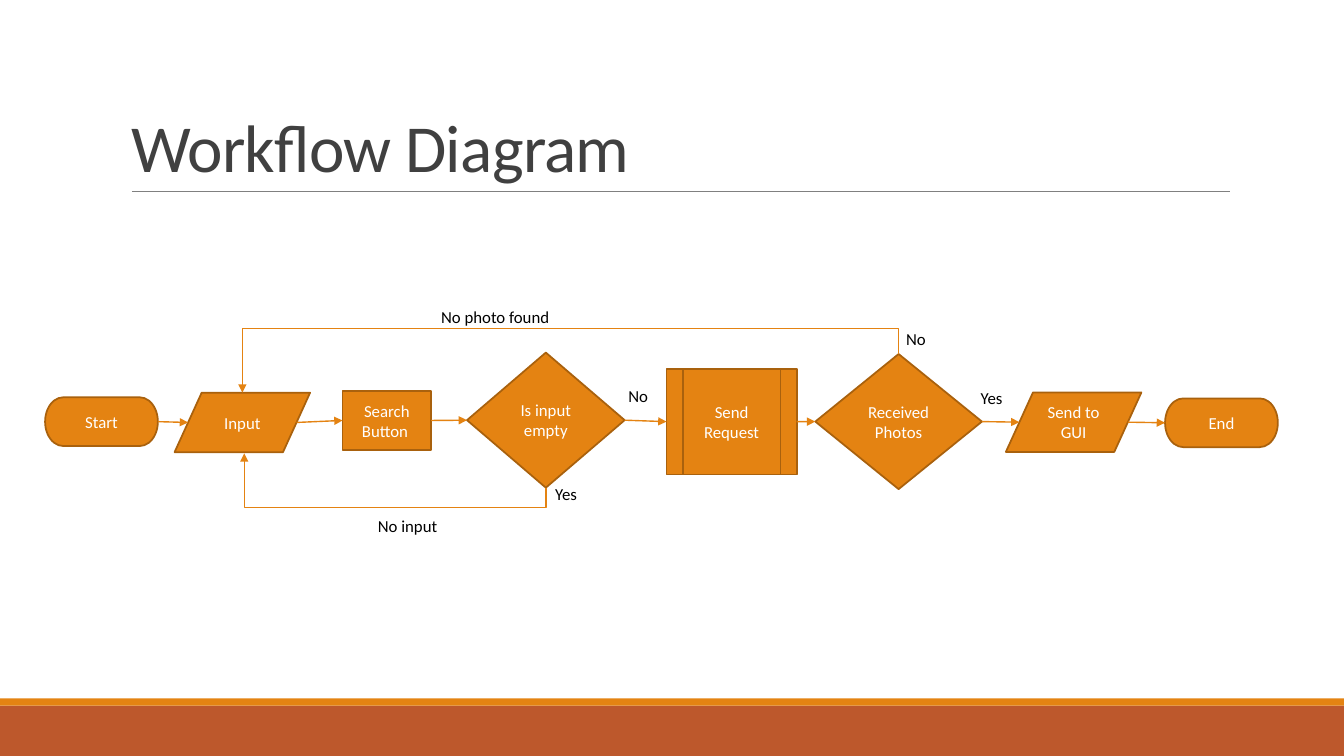
from pptx import Presentation
from pptx.dml.color import RGBColor
from pptx.enum.shapes import MSO_CONNECTOR as CONN, MSO_SHAPE as SHAPE
from pptx.enum.text import MSO_ANCHOR as ANCHOR, MSO_AUTO_SIZE as FIT, PP_ALIGN as ALIGN
from pptx.oxml.ns import qn
from pptx.util import Pt
from lxml import etree

ORANGE, EDGE, RUST = "E48312", "A9610D", "BD582C"
LEFT, RIGHT = 1, 3


def color(hex_code):
    return RGBColor.from_string(hex_code)


def write(tf, text, size=12, fill="000000", align=ALIGN.LEFT, anchor=ANCHOR.TOP,
          line_spacing=None, tracking=None):
    tf.word_wrap = True
    tf.auto_size = FIT.NONE
    tf.vertical_anchor = anchor
    tf.text = text
    for p in tf.paragraphs:
        p.alignment = align
        p.line_spacing = line_spacing
        for r in p.runs:
            r.font.name = "Calibri"
            r.font.size = Pt(size)
            r.font.color.rgb = color(fill)
            if tracking is not None:
                r.font._element.set("spc", str(tracking))


def add_block(s, kind, x, y, w, h, fill, edge=None, text=None):
    sp = s.shapes.add_shape(kind, Pt(x), Pt(y), Pt(w), Pt(h))
    sp.shadow.inherit = False
    sp.fill.solid()
    sp.fill.fore_color.rgb = color(fill)
    if edge:
        sp.line.color.rgb = color(edge)
        sp.line.width = Pt(1.25)
    else:
        sp.line.fill.background()
    if text:
        write(sp.text_frame, text, fill="FFFFFF", align=ALIGN.CENTER, anchor=ANCHOR.MIDDLE)
    return sp


def add_label(s, text, x, y, w):
    box = s.shapes.add_textbox(Pt(x), Pt(y), Pt(w), Pt(21.8))
    write(box.text_frame, text)


def add_line(s, x1, y1, x2, y2, stroke=ORANGE, width=1, arrow=True, kind=CONN.STRAIGHT):
    line = s.shapes.add_connector(kind, Pt(x1), Pt(y1), Pt(x2), Pt(y2))
    line.line.color.rgb = color(stroke)
    line.line.width = Pt(width)
    if arrow:
        etree.SubElement(line.line._get_or_add_ln(), qn("a:tailEnd"), type="triangle")
    etree.SubElement(line._element.spPr, qn("a:effectLst"))
    return line


def side_point(sp, side):
    """Middle of the left or right side, in points; slanted sides lie a tenth inward."""
    inset = sp.width.pt / 10 if sp.auto_shape_type == SHAPE.FLOWCHART_DATA else 0
    x = sp.left.pt + inset if side == LEFT else sp.left.pt + sp.width.pt - inset
    return x, sp.top.pt + sp.height.pt / 2


def join(s, a, b):
    line = add_line(s, *side_point(a, RIGHT), *side_point(b, LEFT))
    if a.auto_shape_type != SHAPE.FLOWCHART_DATA:
        line.begin_connect(a, RIGHT)
    if b.auto_shape_type != SHAPE.FLOWCHART_DATA:
        line.end_connect(b, LEFT)


def add_return(s, x1, y1, x2, y2, via_y):
    """Elbow arrow that runs back to the left along via_y: an elbow turned by 90 degrees."""
    cx, cy = (x1 + x2) / 2, (y1 + y2) / 2
    dx, dy = (y2 - y1) / 2, (x1 - x2) / 2
    line = add_line(s, cx - dx, cy - dy, cx + dx, cy + dy, kind=CONN.ELBOW)
    sp_pr = line._element.spPr
    sp_pr.find(qn("a:xfrm")).set("rot", str(90 * 60000))
    adjust = round((via_y - y1) / (y2 - y1) * 100000)
    guides = sp_pr.find(qn("a:prstGeom")).find(qn("a:avLst"))
    etree.SubElement(guides, qn("a:gd"), name="adj1", fmla=f"val {adjust}")


def main():
    prs = Presentation()
    prs.slide_width, prs.slide_height = Pt(960), Pt(540)
    s = prs.slides.add_slide(prs.slide_layouts[5])

    # Footer bands and title rule
    add_block(s, SHAPE.RECTANGLE, 0, 504, 960, 36, RUST)
    add_block(s, SHAPE.RECTANGLE, 0, 498.8, 960, 5.2, ORANGE)
    add_line(s, 94.3, 136.8, 878.8, 136.8, stroke="808080", width=0.5, arrow=False)

    # Title
    title = s.shapes.title
    title.left, title.top, title.width, title.height = Pt(86.4), Pt(22.6), Pt(792), Pt(114.2)
    write(title.text_frame, "Workflow Diagram", size=48, fill="404040",
          anchor=ANCHOR.BOTTOM, line_spacing=0.85, tracking=-50)

    # Steps, left to right
    steps = [
        (SHAPE.FLOWCHART_TERMINATOR, 32.2, 283.8, 80.6, 34.8, "Start"),
        (SHAPE.FLOWCHART_DATA, 124.7, 280.5, 96.8, 42.5, "Input"),
        (SHAPE.FLOWCHART_PROCESS, 244.7, 279.2, 63.3, 42.3, "Search\nButton "),
        (SHAPE.FLOWCHART_DECISION, 333.6, 251.9, 112.6, 96.5, "Is input empty"),
        (SHAPE.FLOWCHART_PREDEFINED_PROCESS, 476.1, 263.5, 93, 75.4, "Send Request"),
        (SHAPE.FLOWCHART_DECISION, 582.4, 252.9, 119, 96.5, "Received\nPhotos"),
        (SHAPE.FLOWCHART_DATA, 718.5, 280.3, 96.8, 42.5, "Send to\nGUI"),
        (SHAPE.FLOWCHART_TERMINATOR, 832.2, 284.6, 80.6, 34.8, "End"),
    ]
    blocks = [add_block(s, *box, ORANGE, EDGE, text) for *box, text in steps]
    for a, b in zip(blocks, blocks[1:]):
        join(s, a, b)

    # Ways back to the input
    add_return(s, 389.9, 348.4, 174.5, 323.8, via_y=362.3)
    add_return(s, 641.9, 252.9, 173.1, 280.5, via_y=234.8)

    # Labels
    for label in [
        ("Yes", 389.5, 342, 45.4),
        ("No", 640.1, 231.1, 45.4),
        ("Yes", 693.4, 273.6, 45.4),
        ("No photo found", 308, 215.3, 235.4),
        ("No", 441.8, 271.8, 45.4),
        ("No input", 262.8, 365, 78.5),
    ]:
        add_label(s, *label)

    prs.save("out.pptx")


if __name__ == "__main__":
    main()
